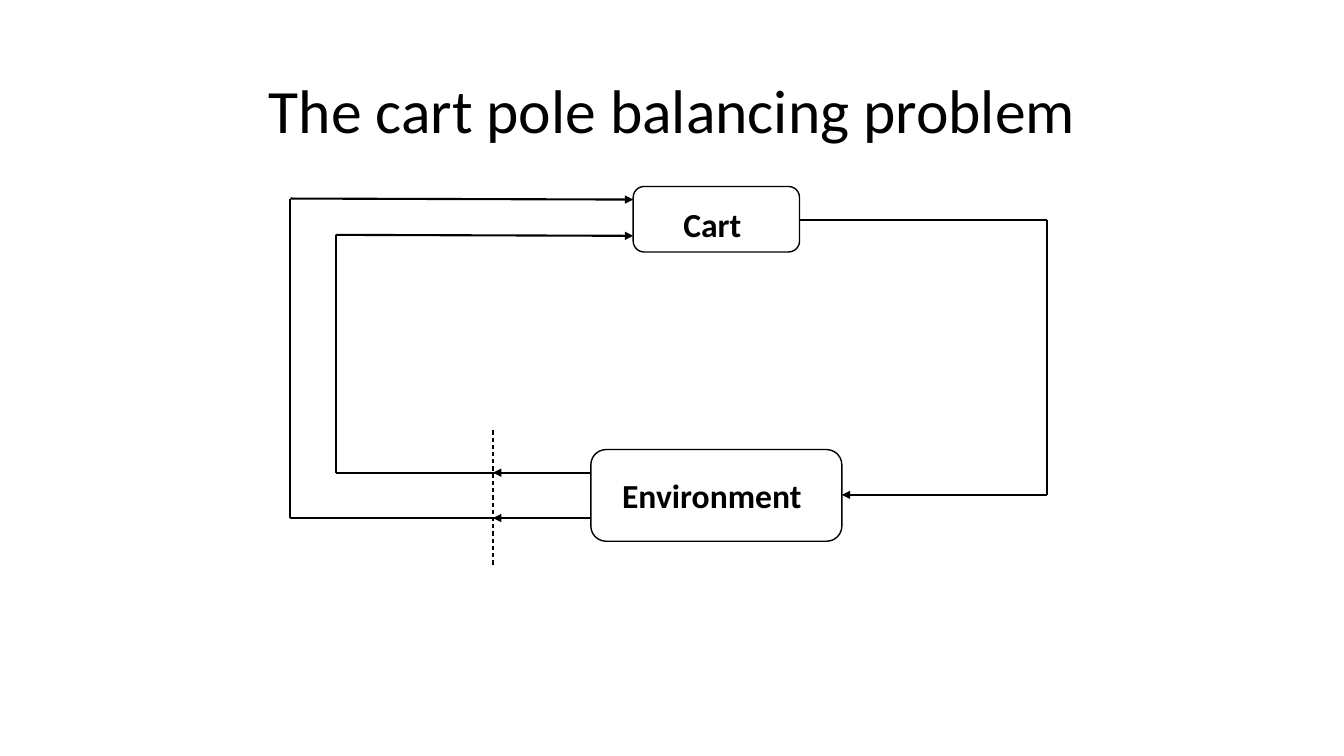
from dataclasses import dataclass

from lxml.etree import SubElement
from pptx import Presentation
from pptx.dml.color import RGBColor
from pptx.enum.dml import MSO_LINE
from pptx.enum.shapes import MSO_CONNECTOR, MSO_SHAPE
from pptx.enum.text import MSO_ANCHOR, PP_ALIGN
from pptx.oxml.ns import qn
from pptx.slide import Slide
from pptx.text.text import TextFrame
from pptx.util import Inches, Pt


@dataclass(frozen=True)
class Theme:
    font: str = "Calibri"
    ink: RGBColor = RGBColor(0x00, 0x00, 0x00)
    paper: RGBColor = RGBColor(0xFF, 0xFF, 0xFF)
    title_pt: float = 44
    label_pt: float = 24
    box_line_pt: float = 1
    wire_pt: float = 1.5
    divider_pt: float = 0.75


@dataclass(frozen=True)
class Rect:
    left: float
    top: float
    width: float
    height: float

    def emu(self) -> tuple[int, ...]:
        return tuple(Inches(v) for v in (self.left, self.top, self.width, self.height))


@dataclass(frozen=True)
class Block:
    text: str
    box: Rect
    label: Rect


@dataclass(frozen=True)
class Wire:
    start: tuple[float, float]
    end: tuple[float, float]
    arrow: bool = False
    dashed: bool = False


THEME = Theme()
TITLE = Rect(0.92, 0.4, 11.5, 1.45)
CART = Block("Cart", Rect(6.28, 1.85, 1.65, 0.65), Rect(6.26, 1.97, 1.61, 0.5))
ENVIRONMENT = Block("Environment", Rect(5.86, 4.46, 2.49, 0.91), Rect(5.91, 4.66, 2.3, 0.5))

CART_LEFT, CART_RIGHT = 6.28, 7.93
ENV_LEFT, ENV_RIGHT = 5.86, 8.35
OUTER_X, INNER_X, ACTION_X, DIVIDER_X = 2.88, 3.33, 10.38, 4.89
OUTER_TOP, INNER_TOP, ACTION_TOP = 1.97, 2.33, 2.18
OUTER_BOTTOM, INNER_BOTTOM, ACTION_BOTTOM = 5.14, 4.69, 4.91

WIRES = [
    # Action: cart to environment
    Wire((CART_RIGHT, ACTION_TOP), (ACTION_X, ACTION_TOP)),
    Wire((ACTION_X, ACTION_TOP), (ACTION_X, ACTION_BOTTOM)),
    Wire((ACTION_X, ACTION_BOTTOM), (ENV_RIGHT, ACTION_BOTTOM), arrow=True),
    # Time step boundary
    Wire((DIVIDER_X, 4.27), (DIVIDER_X, 5.63), dashed=True),
]
# Feedback loops: environment to cart
for x, top, bottom in ((OUTER_X, OUTER_TOP, OUTER_BOTTOM), (INNER_X, INNER_TOP, INNER_BOTTOM)):
    WIRES += [
        Wire((ENV_LEFT, bottom), (x, bottom)),
        Wire((ENV_LEFT, bottom), (DIVIDER_X, bottom), arrow=True),
        Wire((x, bottom), (x, top)),
        Wire((x, top), (CART_LEFT, top + 0.01), arrow=True),
    ]


def write(tf: TextFrame, text: str, *, size: float, bold: bool = False,
          anchor: MSO_ANCHOR = MSO_ANCHOR.TOP, spacing: float = 1.0) -> None:
    tf.word_wrap = True
    tf.vertical_anchor = anchor
    p = tf.paragraphs[0]
    p.alignment = PP_ALIGN.CENTER
    p.line_spacing = spacing
    r = p.add_run()
    r.text = text
    r.font.name = THEME.font
    r.font.size = Pt(size)
    r.font.bold = bold
    r.font.color.rgb = THEME.ink


def add_title(s: Slide, text: str) -> None:
    sp = s.shapes.title
    sp.left, sp.top, sp.width, sp.height = TITLE.emu()
    write(sp.text_frame, text, size=THEME.title_pt, anchor=MSO_ANCHOR.MIDDLE, spacing=0.9)


def add_block(s: Slide, block: Block) -> None:
    sp = s.shapes.add_shape(MSO_SHAPE.ROUNDED_RECTANGLE, *block.box.emu())
    sp.shadow.inherit = False
    sp.fill.solid()
    sp.fill.fore_color.rgb = THEME.paper
    sp.line.color.rgb = THEME.ink
    sp.line.width = Pt(THEME.box_line_pt)
    label = s.shapes.add_textbox(*block.label.emu())
    write(label.text_frame, block.text, size=THEME.label_pt, bold=True)


def add_wire(s: Slide, wire: Wire) -> None:
    ends = (Inches(v) for v in wire.start + wire.end)
    cxn = s.shapes.add_connector(MSO_CONNECTOR.STRAIGHT, *ends)
    cxn.line.color.rgb = THEME.ink
    cxn.line.width = Pt(THEME.divider_pt if wire.dashed else THEME.wire_pt)
    if wire.dashed:
        cxn.line.dash_style = MSO_LINE.DASH
    sp_pr = cxn._element.spPr
    if wire.arrow:
        SubElement(sp_pr.find(qn("a:ln")), qn("a:tailEnd"), type="triangle")
    SubElement(sp_pr, qn("a:effectLst"))


def main() -> None:
    prs = Presentation()
    prs.slide_width, prs.slide_height = Inches(13.33), Inches(7.5)
    s = prs.slides.add_slide(prs.slide_layouts[5])
    add_title(s, "The cart pole balancing problem")
    for block in (CART, ENVIRONMENT):
        add_block(s, block)
    for wire in WIRES:
        add_wire(s, wire)
    prs.save("out.pptx")


if __name__ == "__main__":
    main()
